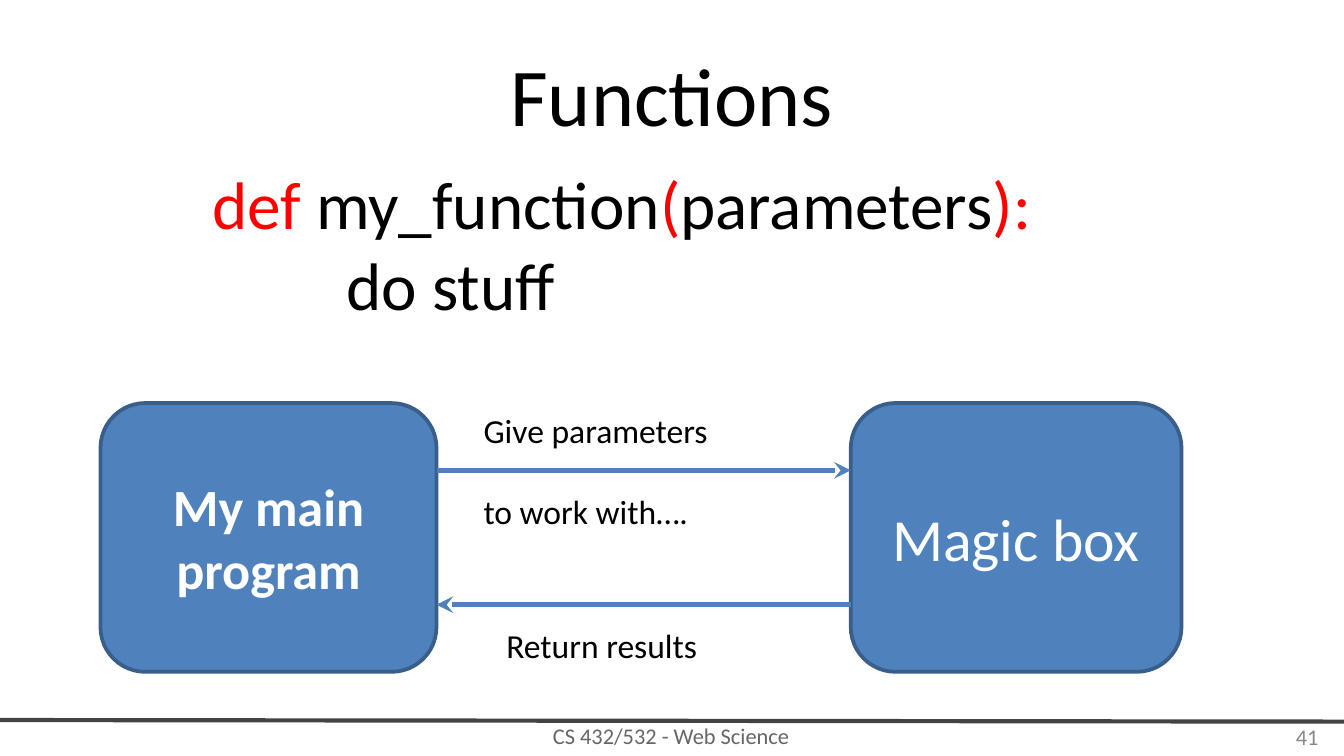
from dataclasses import dataclass

from lxml import etree
from pptx import Presentation
from pptx import util as u
from pptx.dml import color as c
from pptx.enum import shapes, text as t
from pptx.oxml import ns


@dataclass(frozen=True)
class Theme:
    font: str = "Calibri"
    ink: str = "000000"
    keyword: str = "FF0000"
    light: str = "FFFFFF"
    fill: str = "4F81BD"
    outline: str = "395E89"
    rule: str = "434343"
    footer: str = "666666"
    number: str = "898989"
    title_size: int = 44
    code_size: int = 36
    magic_size: int = 32
    program_size: int = 28
    label_size: int = 18
    footer_size: int = 12


theme = Theme()
deck = Presentation()
deck.slide_width, deck.slide_height = u.Cm(25.4), u.Cm(14.29)
page = deck.slides.add_slide(deck.slide_layouts[6])


def write(box, paragraphs, size, color=theme.ink, bold=False, align="LEFT",
          anchor="TOP", gap=0, indent=0):
    frame = box.text_frame
    frame.word_wrap = True
    frame.vertical_anchor = t.MSO_ANCHOR[anchor]
    for index, spans in enumerate(paragraphs):
        para = frame.add_paragraph() if index else frame.paragraphs[0]
        para.alignment = t.PP_ALIGN[align]
        if index:
            para.space_before = u.Pt(gap)
            para._p.get_or_add_pPr().set("marL", str(u.Cm(indent)))
        for words, span_color in spans:
            span = para.add_run()
            span.text = words
            span.font.name = theme.font
            span.font.size = u.Pt(size)
            span.font.bold = bold
            span.font.color.rgb = c.RGBColor.from_string(span_color or color)


def connect(start, end, color, width, arrow=False):
    line = page.shapes.add_connector(
        shapes.MSO_CONNECTOR.STRAIGHT, *[u.Cm(value) for value in start + end])
    line.line.color.rgb = c.RGBColor.from_string(color)
    line.line.width = u.Pt(width)
    if arrow:
        etree.SubElement(line.line._get_or_add_ln(), ns.qn("a:tailEnd"), type="stealth")
    etree.SubElement(line._element.spPr, ns.qn("a:effectLst"))


connect((0, 13.61), (25.4, 13.64), theme.rule, 2.25)

code = [
    [("def", theme.keyword), (" my_function", None), ("(", theme.keyword),
     ("parameters", None), ("):", theme.keyword)],
    [("do stuff", None)],
]
texts = [
    ((4.62, 13.56, 16.13, 0.69), [[("CS 432/532 - Web Science", None)]],
     dict(size=theme.footer_size, color=theme.footer, align="CENTER", anchor="MIDDLE")),
    ((1.27, 0.58, 22.86, 2.39), [[("Functions", None)]],
     dict(size=theme.title_size, align="CENTER", anchor="MIDDLE")),
    ((3.76, 2.95, 18.85, 3.78), code, dict(size=theme.code_size, indent=2.54)),
    ((8.89, 7.62, 5.92, 2.57), [[("Give parameters", None)], [("to work with….", None)]],
     dict(size=theme.label_size, gap=22)),
    ((9.32, 11.68, 5.92, 1.02), [[("Return results", None)]], dict(size=theme.label_size)),
    ((19.25, 13.54, 5.92, 0.76), [[("41", None)]],
     dict(size=theme.footer_size, color=theme.number, align="RIGHT", anchor="MIDDLE")),
]
for place, paragraphs, style in texts:
    box = page.shapes.add_textbox(*[u.Cm(value) for value in place])
    write(box, paragraphs, **style)

program_left, program_width = 1.9, 6.35
magic_left, magic_width = 16.08, 6.25
box_top, box_height = 7.62, 5.08
blocks = [
    (program_left, program_width, "My main program", theme.program_size, True),
    (magic_left, magic_width, "Magic box", theme.magic_size, False),
]
for left, width, words, size, bold in blocks:
    block = page.shapes.add_shape(
        shapes.MSO_SHAPE.ROUNDED_RECTANGLE,
        u.Cm(left), u.Cm(box_top), u.Cm(width), u.Cm(box_height))
    block.shadow.inherit = False
    block.fill.solid()
    block.fill.fore_color.rgb = c.RGBColor.from_string(theme.fill)
    block.line.color.rgb = c.RGBColor.from_string(theme.outline)
    block.line.width = u.Pt(2)
    write(block, [[(words, None)]], size, theme.light, bold, "CENTER", "MIDDLE")

program_right = program_left + program_width
call_y = box_top + box_height / 4
return_y = box_top + box_height * 3 / 4
connect((program_right, call_y), (magic_left, call_y), theme.fill, 3, arrow=True)
connect((magic_left, return_y), (program_right, return_y), theme.fill, 3, arrow=True)

deck.save("out.pptx")
